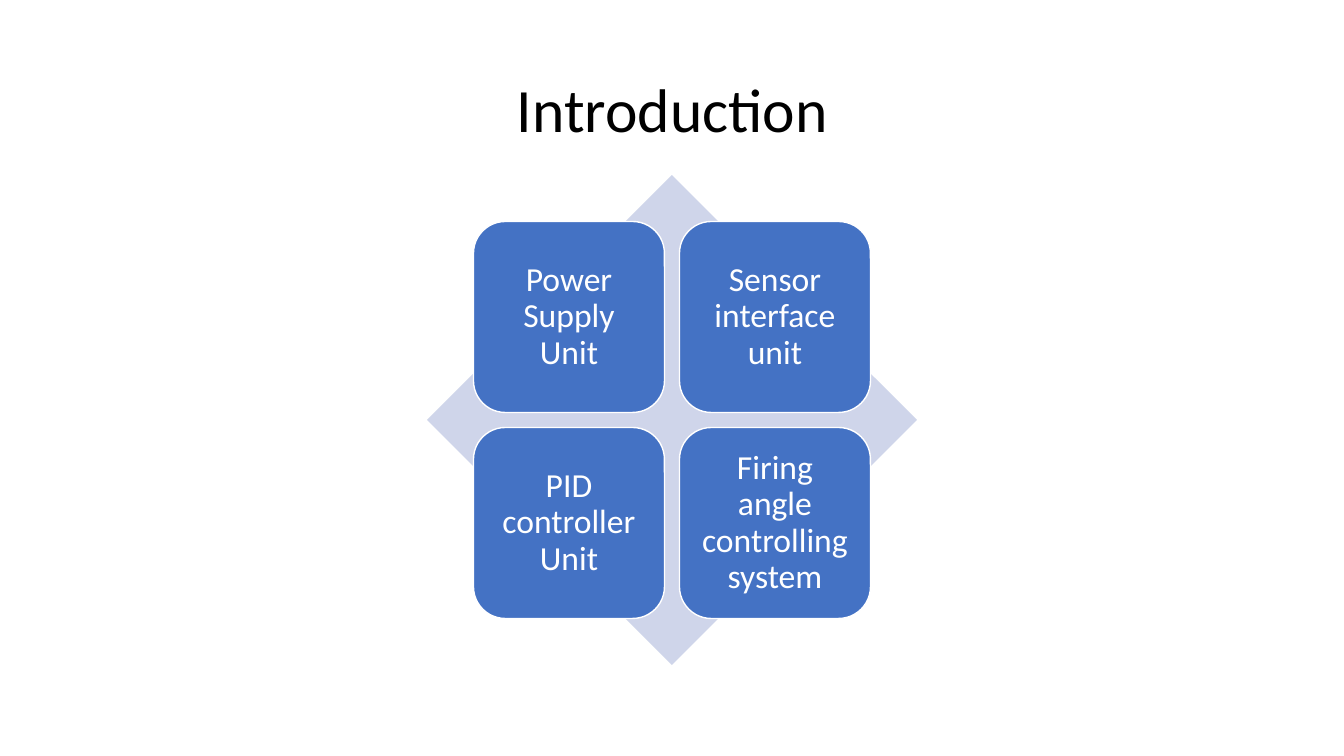
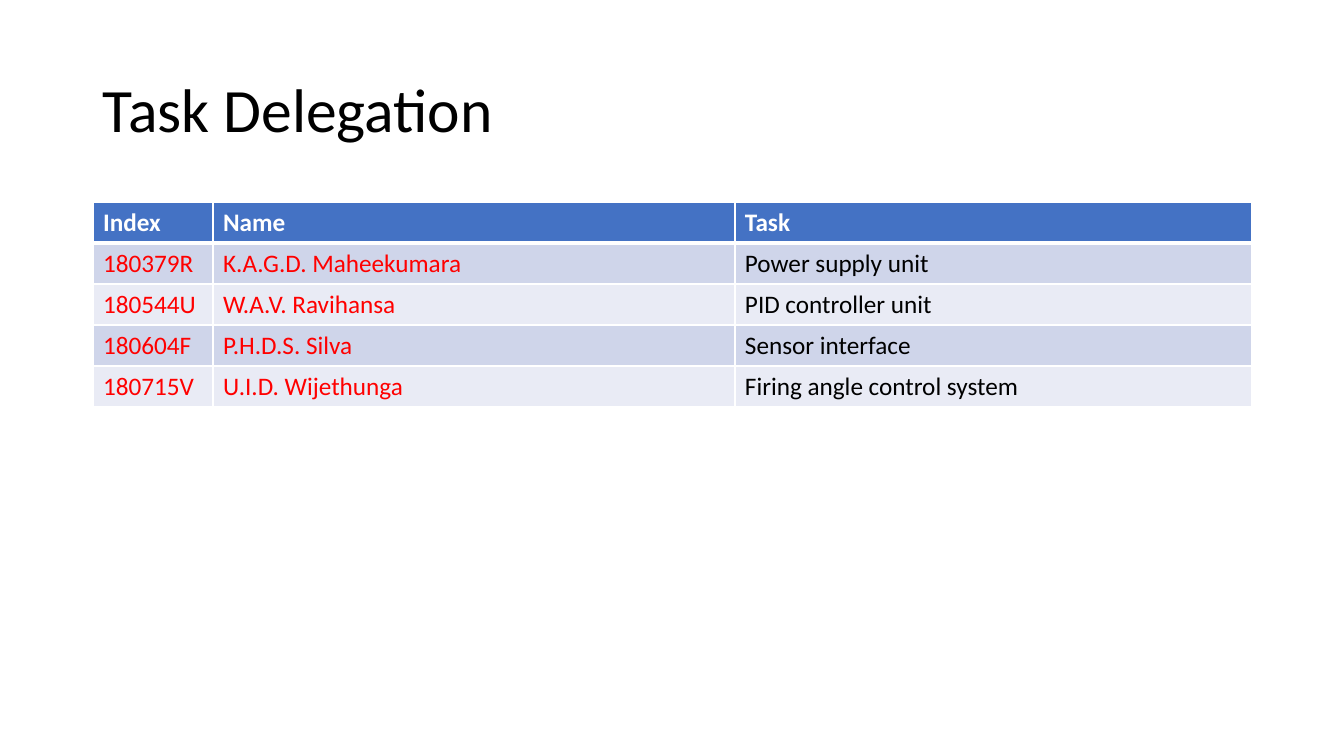
import pptx
import pptx.dml.color
import pptx.enum.shapes
import pptx.enum.text
import pptx.oxml
import pptx.oxml.ns
import pptx.util

# Content
INTRO_TITLE = "Introduction"
UNITS = [
    "Power Supply Unit", "Sensor interface unit",
    "PID controller Unit", "Firing angle controlling system",
]
TASK_TITLE = "Task Delegation"
TASKS = [
    ("Index", "Name", "Task"),
    ("180379R", "K.A.G.D. Maheekumara", "Power supply unit"),
    ("180544U", "W.A.V. Ravihansa", "PID controller unit"),
    ("180604F", "P.H.D.S. Silva", "Sensor interface"),
    ("180715V", "U.I.D. Wijethunga", "Firing angle control system"),
]

# Shared style, lengths in px
COLORS = {
    "blue": "4472C4", "band": "CFD5EA", "pale": "E9EBF5",
    "white": "FFFFFF", "black": "000000", "red": "FF0000",
}
FONT = "Calibri"
SLIDE_W, SLIDE_H = 1344, 756
TITLE_BOX = (93, 40, 1159, 146)
CENTER_X, CENTER_Y = 672, 420
DIAMOND, TILE, GAP, INSET = 490, 191, 15, 10
TABLE_X, TABLE_Y, ROW_H = 93, 202, 41
COL_WIDTHS = (120, 522, 517)

ALIGN = pptx.enum.text.PP_ALIGN
MIDDLE = pptx.enum.text.MSO_ANCHOR.MIDDLE
SHAPE = pptx.enum.shapes.MSO_SHAPE


def px(n):
    return pptx.util.Emu(round(n * 914400 / 100.8))


def rgb(name):
    return pptx.dml.color.RGBColor.from_string(COLORS[name])


def add_text(tf, text, size, color, align=ALIGN.LEFT, bold=False, spacing=None):
    p = tf.paragraphs[0]
    p.alignment = align
    p.line_spacing = spacing
    r = p.add_run()
    r.text = text
    r.font.name = FONT
    r.font.size = pptx.util.Pt(size)
    r.font.bold = bold
    r.font.color.rgb = rgb(color)


def add_slide(prs, title, align):
    s = prs.slides.add_slide(prs.slide_layouts[6])
    tf = s.shapes.add_textbox(*map(px, TITLE_BOX)).text_frame
    tf.word_wrap = True
    tf.vertical_anchor = MIDDLE
    add_text(tf, title, 44, "black", align, spacing=0.9)
    return s


def add_block(s, kind, x, y, size, fill):
    sp = s.shapes.add_shape(kind, px(x), px(y), px(size), px(size))
    sp.shadow.inherit = False
    sp.fill.solid()
    sp.fill.fore_color.rgb = rgb(fill)
    sp.line.fill.background()
    return sp


def add_borders(cell, **widths):
    tc_pr = cell._tc.get_or_add_tcPr()
    for side in "LRTB":
        tc_pr.append(pptx.oxml.parse_xml(
            f'<a:ln{side} {pptx.oxml.ns.nsdecls("a")} '
            f'w="{pptx.util.Pt(widths.get(side, 1))}"><a:solidFill>'
            f'<a:srgbClr val="{COLORS["white"]}"/></a:solidFill></a:ln{side}>'))


def build_introduction(prs):
    s = add_slide(prs, INTRO_TITLE, ALIGN.CENTER)
    add_block(s, SHAPE.DIAMOND, CENTER_X - DIAMOND / 2, CENTER_Y - DIAMOND / 2,
              DIAMOND, "band")
    # Two by two tiles, centred on the diamond
    half = TILE + GAP / 2
    for i, unit in enumerate(UNITS):
        row, col = divmod(i, 2)
        sp = add_block(s, SHAPE.ROUNDED_RECTANGLE,
                       CENTER_X - half + col * (TILE + GAP),
                       CENTER_Y - half + row * (TILE + GAP), TILE, "blue")
        sp.line.color.rgb = rgb("white")
        sp.line.width = pptx.util.Pt(1)
        tf = sp.text_frame
        tf.word_wrap = True
        tf.vertical_anchor = MIDDLE
        tf.margin_left = tf.margin_right = px(INSET)
        tf.margin_top = tf.margin_bottom = px(INSET)
        add_text(tf, unit, 24, "white", ALIGN.CENTER, spacing=0.9)


def build_tasks(prs):
    s = add_slide(prs, TASK_TITLE, ALIGN.LEFT)
    table = s.shapes.add_table(
        len(TASKS), len(COL_WIDTHS), px(TABLE_X), px(TABLE_Y),
        px(sum(COL_WIDTHS)), px(ROW_H * len(TASKS))).table
    for column, width in zip(table.columns, COL_WIDTHS):
        column.width = px(width)
    for i, values in enumerate(TASKS):
        header = i == 0
        fill = "blue" if header else "band" if i % 2 else "pale"
        for j, value in enumerate(values):
            cell = table.cell(i, j)
            add_borders(cell, T=3 if i == 1 else 1, B=3 if header else 1)
            cell.fill.solid()
            cell.fill.fore_color.rgb = rgb(fill)
            color = "white" if header else "red" if j < 2 else "black"
            add_text(cell.text_frame, value, 18, color, bold=header)


def main():
    prs = pptx.Presentation()
    prs.slide_width, prs.slide_height = px(SLIDE_W), px(SLIDE_H)
    build_introduction(prs)
    build_tasks(prs)
    prs.save("out.pptx")


if __name__ == "__main__":
    main()
